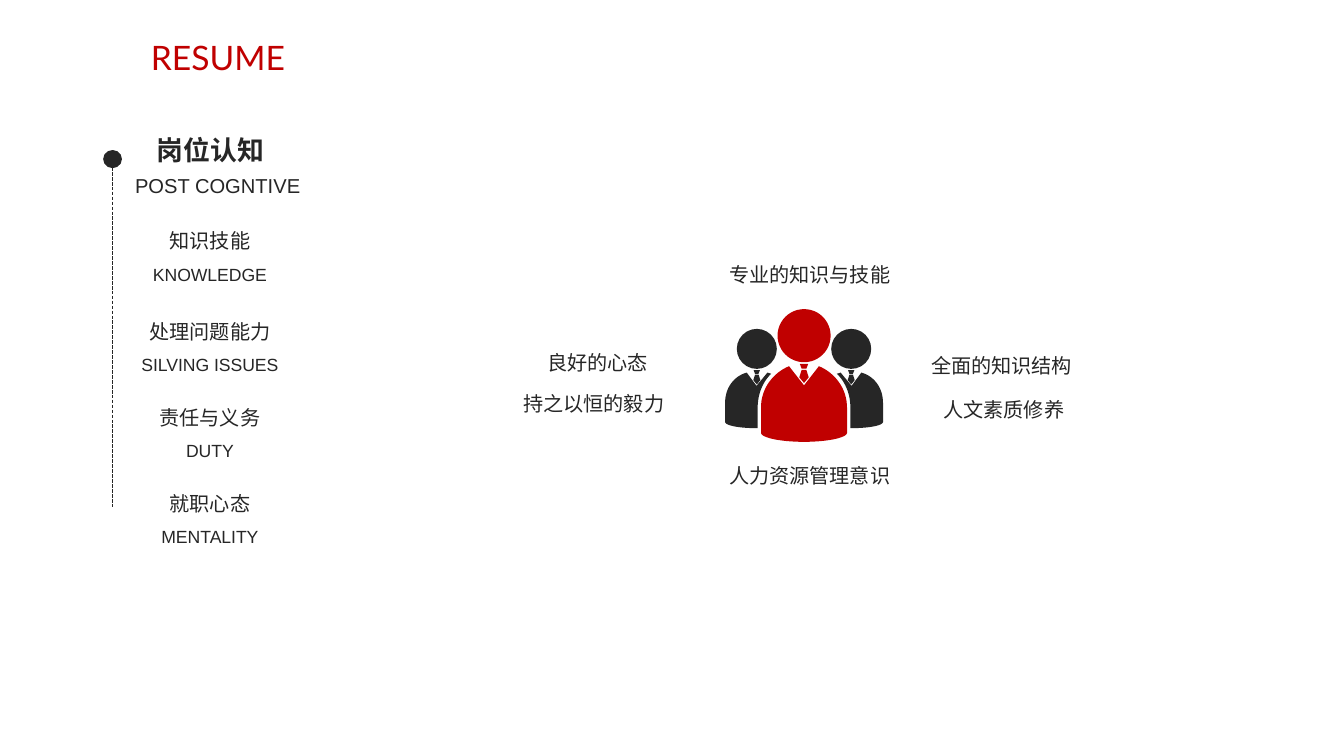
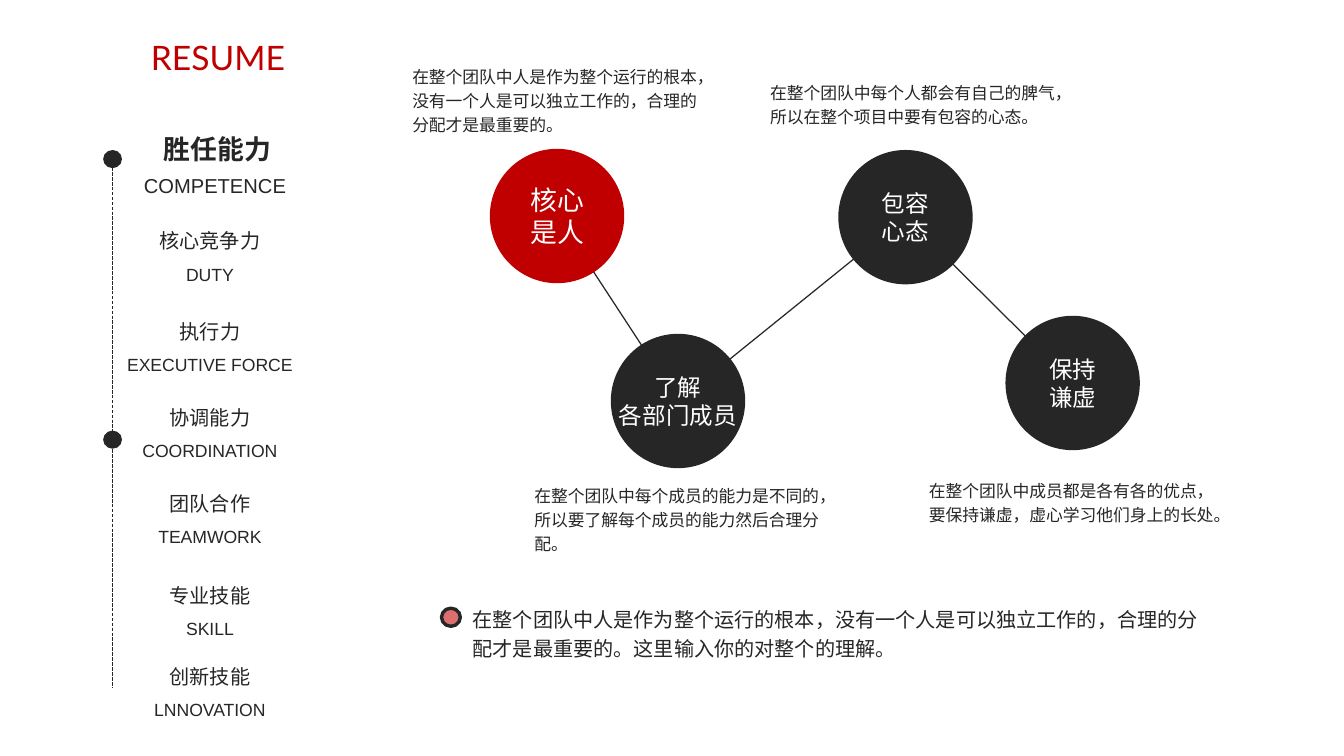
from dataclasses import dataclass
from typing import NamedTuple

from lxml import etree
from pptx import Presentation
from pptx.dml.color import RGBColor
from pptx.enum import dml, shapes, text
from pptx.oxml import ns
from pptx.util import Pt

RED, DARK, WHITE = "C00000", "262626", "FFFFFF"
LATIN, CHINESE, TITLE_FONT = "Arial", "Noto Sans CJK SC", "Lato"
AXIS = 67  # x of the sidebar timeline
SIDEBAR_CENTRE = 125
ICON_CENTRE = 478.6
CIRCLE = 80


class Box(NamedTuple):
    left: float
    top: float
    width: float
    height: float

    def lengths(self) -> list:
        return [Pt(value) for value in self]


class Row(NamedTuple):
    chinese: str
    english: str


class Label(NamedTuple):
    words: str
    centre: float
    top: float


class Curve(NamedTuple):
    """Cubic Bézier curve: start, two controls, end."""
    points: tuple

    def sample(self, steps: int = 16) -> list:
        samples = []
        for step in range(steps + 1):
            t = step / steps
            weights = ((1 - t) ** 3, 3 * t * (1 - t) ** 2, 3 * t * t * (1 - t), t ** 3)
            samples.append(tuple(sum(w * point[axis] for w, point in zip(weights, self.points))
                                 for axis in (0, 1)))
        return samples


@dataclass
class Sidebar:
    heading: Label
    subtitle: Label
    rows: list
    line_end: float
    dots: tuple


@dataclass
class Stage:
    """A circle of the chain, with its remark."""
    name: str
    left: float
    top: float
    remark: str
    remark_left: float
    remark_top: float
    color: str = DARK
    size: float = 14

    def centre(self) -> tuple:
        return self.left + CIRCLE / 2, self.top + CIRCLE / 2


ROW_TOPS = (129.6, 183.6, 234.7, 285.8, 340.6, 388.8)

POST = Sidebar(
    Label("岗位认知", 125.3, 75.6), Label("POST COGNTIVE", 129.6, 97),
    [Row("知识技能", "KNOWLEDGE"), Row("处理问题能力", "SILVING ISSUES"),
     Row("责任与义务", "DUTY"), Row("就职心态", "MENTALITY")],
    301.7, (89.3,))
COMPETENCE = Sidebar(
    Label("胜任能力", 129.4, 74.9), Label("COMPETENCE", 128, 97),
    [Row("核心竞争力", "DUTY"), Row("执行力", "EXECUTIVE FORCE"), Row("协调能力", "COORDINATION"),
     Row("团队合作", "TEAMWORK"), Row("专业技能", "SKILL"), Row("创新技能", "LNNOVATION")],
    409, (89.3, 256.3))

QUALITIES = [
    Label("人力资源管理意识", 482, 271.4), Label("专业的知识与技能", 482, 151.2),
    Label("良好的心态", 355.7, 203.8), Label("持之以恒的毅力", 353.5, 228.2),
    Label("全面的知识结构", 596.2, 205.9), Label("人文素质修养", 597.6, 231.8),
]

STAGES = [
    Stage("核心\n是人", 291.6, 88.6,
          "在整个团队中人是作为整个运行的根本，没有一个人是可以独立工作的，合理的分配才是最重要的。",
          238.3, 33.8, RED, 16),
    Stage("了解\n各部门成员", 363.6, 198.7,
          "在整个团队中每个成员的能力是不同的，所以要了解每个成员的能力然后合理分配。",
          311, 283),
    Stage("包容\n心态", 499, 89.3,
          "在整个团队中每个人都会有自己的脾气，所以在整个项目中要有包容的心态。",
          451.4, 43.2),
    Stage("保持\n谦虚", 598.5, 188,
          "在整个团队中成员都是各有各的优点，要保持谦虚，虚心学习他们身上的长处。",
          545.8, 280.1),
]
SUMMARY = ("在整个团队中人是作为整个运行的根本，没有一个人是可以独立工作的，"
           "合理的分配才是最重要的。这里输入你的对整个的理解。")

# Icon outlines: x is the distance from the icon's centre line, y is on the slide.
LEADER_HALF = [
    (0, 229.4), (8.9, 218),
    *Curve(((8.9, 218), (18.2, 221.8), (25.6, 231.1), (25.6, 242.6))).sample(),
    *Curve(((25.6, 257.8), (25.2, 260.6), (14, 263), (0, 263))).sample(),
]
SIDE_BODY = [
    (34.1, 221.8), (28.3, 229.7), (21.8, 221.8),
    *Curve(((19.6, 222.5), (24.7, 227.5), (27.6, 234.7), (27.6, 242.6))).sample(),
    *Curve(((27.6, 254.9), (38.4, 254.9), (46.5, 253.4), (47, 251.3))).sample(),
    *Curve(((47, 239.8), (47, 231.1), (42, 224), (34.1, 221.8))).sample(),
]
KNOT = [(-2.5, 0), (2.5, 0), (1.4, 2.9), (-1.4, 2.9)]
TIE = [(-1.4, 3.6), (1.4, 3.6), (2.8, 8), (0, 11.4), (-2.8, 8)]


def rgb(color: str) -> RGBColor:
    return RGBColor.from_string(color)


def centred(centre: float, top: float, width: float, height: float) -> Box:
    return Box(centre - width / 2, top, width, height)


def write(frame, words: str, *, size: float, color: str = DARK, font: str = LATIN,
          bold: bool = False, align=text.PP_ALIGN.CENTER, anchor=text.MSO_ANCHOR.MIDDLE,
          spacing: float = 1, wrap: bool = True) -> None:
    frame.word_wrap = wrap
    frame.vertical_anchor = anchor
    for index, line in enumerate(words.split("\n")):
        paragraph = frame.add_paragraph() if index else frame.paragraphs[0]
        paragraph.alignment = align
        paragraph.line_spacing = spacing
        run = paragraph.add_run()
        run.text = line
        run.font.name, run.font.size, run.font.bold = font, Pt(size), bold
        run.font.color.rgb = rgb(color)
        properties = run._r.get_or_add_rPr()
        etree.SubElement(properties, ns.qn("a:ea")).set("typeface", CHINESE)


def add_text(slide, words: str, box: Box, **style) -> None:
    write(slide.shapes.add_textbox(*box.lengths()).text_frame, words, **style)


def paint(shape, color: str) -> None:
    shape.shadow.inherit = False
    shape.fill.solid()
    shape.fill.fore_color.rgb = rgb(color)
    shape.line.fill.background()


def add_ellipse(collection, box: Box, color: str):
    shape = collection.add_shape(shapes.MSO_SHAPE.OVAL, *box.lengths())
    paint(shape, color)
    return shape


def add_line(slide, start: tuple, end: tuple, dash=None) -> None:
    line = slide.shapes.add_connector(shapes.MSO_CONNECTOR.STRAIGHT,
                                      *(Pt(value) for value in (*start, *end)))
    line.line.color.rgb = rgb(DARK)
    line.line.width = Pt(0.75)
    if dash:
        line.line.dash_style = dash
    etree.SubElement(line._element.spPr, ns.qn("a:effectLst"))


def add_outline(collection, points: list, color: str) -> None:
    """Draw a closed outline given relative to the icon's centre line."""
    placed = [(Pt(ICON_CENTRE + x), Pt(y)) for x, y in points]
    builder = collection.build_freeform(*placed[0])
    builder.add_line_segments(placed[1:], close=True)
    paint(builder.convert_to_shape(), color)


def mirror(points: list) -> list:
    return [(-x, y) for x, y in points]


def add_person(collection, offset: float, body: list, head_top: float, head: float,
               tie_top: float, scale: float, color: str) -> None:
    add_ellipse(collection, centred(ICON_CENTRE + offset, head_top, head, head), color)
    add_outline(collection, body, color)
    for part in (KNOT, TIE):
        add_outline(collection, [(offset + x * scale, tie_top + y * scale) for x, y in part], color)


def add_team_icon(slide) -> None:
    members = slide.shapes.add_group_shape().shapes
    add_person(members, 0, LEADER_HALF + mirror(LEADER_HALF)[::-1], 184, 31.6, 216.6, 1, RED)
    for offset, body in ((-28.1, mirror(SIDE_BODY)), (28.1, SIDE_BODY)):
        add_person(members, offset, body, 195.8, 23.8, 220.3, 0.75, DARK)


def add_sidebar(slide, sidebar: Sidebar) -> None:
    add_text(slide, "RESUME", centred(129.8, 18.7, 200, 31.7), size=20, color=RED,
             font=TITLE_FONT, anchor=text.MSO_ANCHOR.TOP)
    add_line(slide, (AXIS, 99.4), (AXIS, sidebar.line_end), dml.MSO_LINE.SQUARE_DOT)
    for top in sidebar.dots:
        add_ellipse(slide.shapes, centred(AXIS, top, 11.2, 10.8), DARK)
    heading, subtitle = sidebar.heading, sidebar.subtitle
    add_text(slide, heading.words, centred(heading.centre, heading.top, 86.4, 27.4),
             size=16, bold=True)
    add_text(slide, subtitle.words, centred(subtitle.centre, subtitle.top, 142, 27), size=12)
    for row, top in zip(sidebar.rows, ROW_TOPS):
        add_text(slide, row.chinese, centred(SIDEBAR_CENTRE, top, 118, 27.4), size=12)
        add_text(slide, row.english, centred(SIDEBAR_CENTRE, top + 21.6, 141, 23.8), size=10.5)


def add_chain(slide) -> None:
    for stage, following in zip(STAGES, STAGES[1:]):
        add_line(slide, stage.centre(), following.centre())
    for stage in STAGES:
        circle = add_ellipse(slide.shapes, Box(stage.left, stage.top, CIRCLE, CIRCLE), stage.color)
        write(circle.text_frame, stage.name, size=stage.size, color=WHITE, wrap=False,
              font=CHINESE if stage.color == RED else LATIN)
        add_remark(slide, stage.remark, Box(stage.remark_left, stage.remark_top, 187, 51), 10)


def add_remark(slide, words: str, box: Box, size: float) -> None:
    add_text(slide, words, box, size=size, font=CHINESE, spacing=1.2,
             align=text.PP_ALIGN.LEFT, anchor=text.MSO_ANCHOR.TOP)


def add_summary(slide) -> None:
    marker = add_ellipse(slide.shapes, Box(262.8, 362, 11.2, 10.8), RED)
    marker.line.color.rgb = rgb(DARK)
    marker.line.width = Pt(2)
    color = marker._element.spPr.find(".//" + ns.qn("a:srgbClr"))
    etree.SubElement(color, ns.qn("a:alpha")).set("val", "57000")
    add_remark(slide, SUMMARY, Box(274.3, 355, 447, 42.5), 12)


def main() -> None:
    presentation = Presentation()
    presentation.slide_width, presentation.slide_height = Pt(800), Pt(450)
    blank = presentation.slide_layouts[6]

    post = presentation.slides.add_slide(blank)
    add_sidebar(post, POST)
    add_team_icon(post)
    for quality in QUALITIES:
        add_text(post, quality.words, centred(quality.centre, quality.top, 141, 23.8), size=12)

    competence = presentation.slides.add_slide(blank)
    add_sidebar(competence, COMPETENCE)
    add_chain(competence)
    add_summary(competence)

    presentation.save("out.pptx")


if __name__ == "__main__":
    main()
